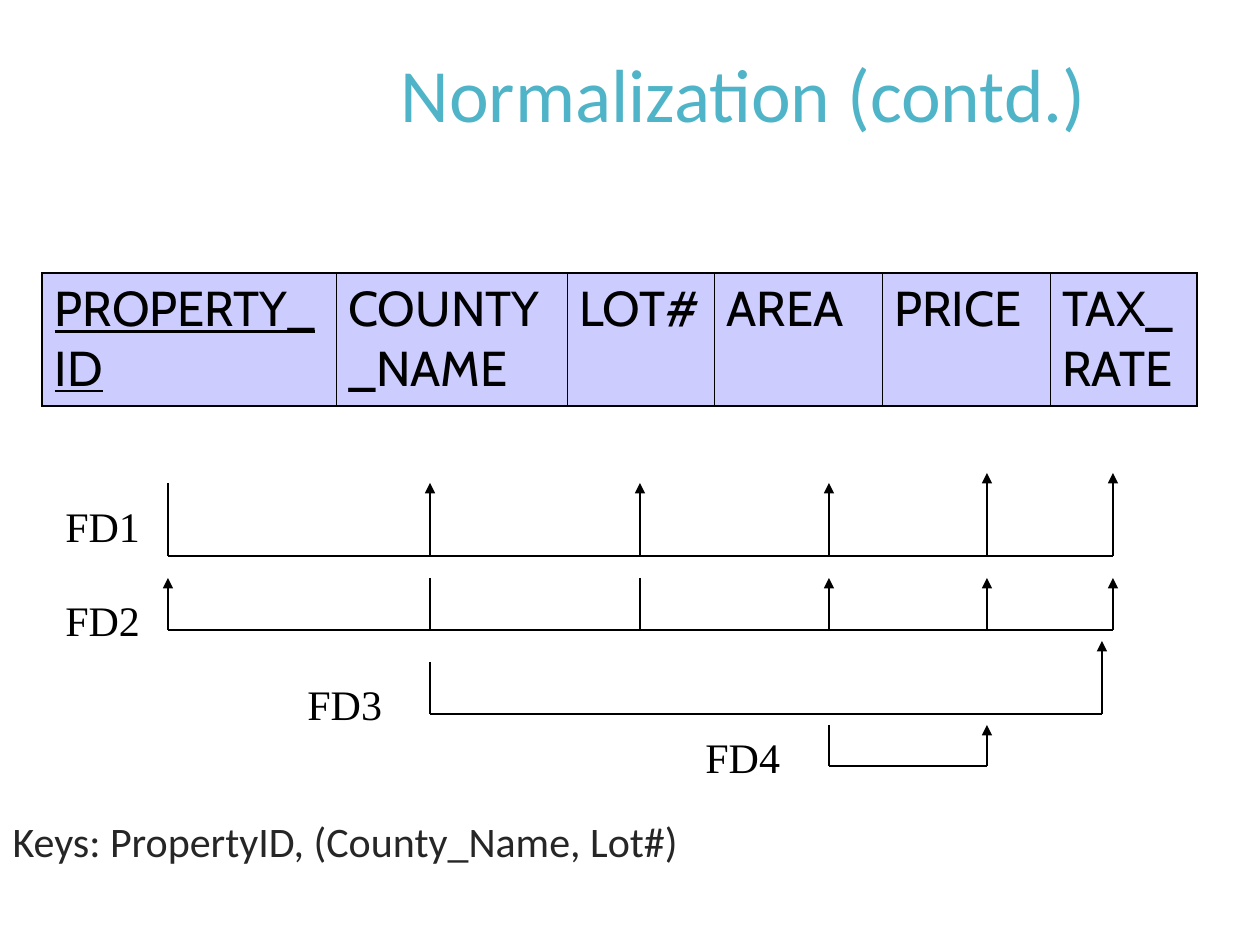
from dataclasses import dataclass
from lxml import etree
from pptx import Presentation
from pptx import util as u
from pptx.dml.color import RGBColor
from pptx.enum import shapes, text
from pptx.oxml.ns import qn


@dataclass(frozen=True)
class Theme:
    head: str = "50B4C8"
    body: str = "262626"
    ink: str = "000000"
    cell: str = "CCCCFF"
    sans: str = "Calibri"
    grid: str = "Cabin"
    serif: str = "Times New Roman"
    big: int = 43
    mid: int = 28
    base: int = 24
    line: float = 0.7
    thin: float = 0.45
    thick: float = 1.08


T = Theme()

# Content; all lengths are in px at 126 px to the inch
TITLE = "Normalization (contd.)"
KEYS = "Keys: PropertyID, (County_Name, Lot#)"
COLS = [("PROPERTY_ID", 294), ("COUNTY_NAME", 231), ("LOT#", 147),
        ("AREA", 168), ("PRICE", 168), ("TAX_RATE", 147)]
KEY = "PROPERTY_ID"
ID, COUNTY, LOT, AREA, PRICE, TAX = 168, 430, 640, 829, 987, 1113

# Dependencies: label, label place, base line, sources and targets as (x, top)
DEPS = [
    ("FD1", (53, 494), 556, [(ID, 483)],
     [(COUNTY, 483), (LOT, 483), (AREA, 483), (PRICE, 473), (TAX, 473)]),
    ("FD2", (53, 588), 630, [(COUNTY, 578), (LOT, 578)],
     [(ID, 578), (AREA, 578), (PRICE, 578), (TAX, 578)]),
    ("FD3", (295, 672), 714, [(COUNTY, 662)], [(1102, 641)]),
    ("FD4", (693, 725), 766, [(AREA, 725)], [(PRICE, 725)]),
]


def px(n):
    return u.Emu(round(n * 914400 / 126))


def style(para, face, size, color):
    para.font.name, para.font.size = face, u.Pt(size)
    para.font.color.rgb = RGBColor.from_string(color)


def place(shape, x, y, w, h):
    shape.left, shape.top, shape.width, shape.height = map(px, (x, y, w, h))


def wire(group, x1, y1, x2, y2, arrow=False):
    line = group.shapes.add_connector(
        shapes.MSO_CONNECTOR.STRAIGHT, px(x1), px(y1), px(x2), px(y2))
    line.line.color.rgb = RGBColor.from_string(T.ink)
    line.line.width = u.Pt(T.line)
    if arrow:
        etree.SubElement(line.line._get_or_add_ln(), qn("a:tailEnd"), type="triangle")
    etree.SubElement(line._element.spPr, qn("a:effectLst"))


def border(cell, side, width):
    edge = etree.SubElement(cell._tc.get_or_add_tcPr(), qn("a:ln" + side),
                            w=str(u.Pt(width)))
    fill = etree.SubElement(edge, qn("a:solidFill"))
    etree.SubElement(fill, qn("a:srgbClr"), val=T.ink)


def heads(slide):
    # Title
    title = slide.shapes.title
    place(title, 388, 50, 872, 97)
    title.text_frame.text = TITLE
    title.text_frame.vertical_anchor = text.MSO_ANCHOR.MIDDLE
    para = title.text_frame.paragraphs[0]
    para.alignment, para.line_spacing = text.PP_ALIGN.LEFT, 0.9
    style(para, T.sans, T.big, T.head)

    # Keys, held at the foot of the body
    body = slide.placeholders[1]
    place(body, 0, 179, 1197, 714)
    frame = body.text_frame
    frame.text = KEYS
    frame.vertical_anchor = text.MSO_ANCHOR.BOTTOM
    frame.margin_bottom = px(27)
    para = frame.paragraphs[0]
    props = para._p.get_or_add_pPr()
    props.set("marL", "0")
    props.set("indent", "0")
    etree.SubElement(props, qn("a:buNone"))
    para.line_spacing, para.space_before = 0.8, u.Pt(0)
    style(para, T.sans, T.base, T.body)


def relation(slide):
    width = sum(w for _, w in COLS)
    table = slide.shapes.add_table(1, len(COLS), px(42), px(273),
                                   px(width), px(133)).table
    table.first_row = table.horz_banding = False
    last = len(COLS) - 1
    for i, (name, w) in enumerate(COLS):
        table.columns[i].width = px(w)
        cell = table.cell(0, i)
        border(cell, "L", T.thick if i == 0 else T.thin)
        border(cell, "R", T.thick if i == last else T.thin)
        border(cell, "T", T.thick)
        border(cell, "B", T.thick)
        cell.fill.solid()
        cell.fill.fore_color.rgb = RGBColor.from_string(T.cell)
        cell.text = name
        para = cell.text_frame.paragraphs[0]
        style(para, T.grid, T.mid, T.ink)
        para.font.underline = name == KEY


def depend(slide, name, spot, base, froms, tos):
    group = slide.shapes.add_group_shape()
    xs = [x for x, _ in froms + tos]
    wire(group, min(xs), base, max(xs), base)
    for x, top in froms:
        wire(group, x, top, x, base)
    for x, top in tos:
        wire(group, x, base, x, top, arrow=True)
    label = group.shapes.add_textbox(*map(px, (*spot, 99, 63)))
    frame = label.text_frame
    frame.word_wrap = False
    frame.auto_size = text.MSO_AUTO_SIZE.SHAPE_TO_FIT_TEXT
    frame.margin_right = 0
    frame.text = name
    style(frame.paragraphs[0], T.serif, T.base, T.ink)


def main():
    deck = Presentation()
    deck.slide_width, deck.slide_height = px(1260), px(945)
    slide = deck.slides.add_slide(deck.slide_layouts[1])
    heads(slide)
    relation(slide)
    for dep in DEPS:
        depend(slide, *dep)
    deck.save("out.pptx")


if __name__ == "__main__":
    main()
